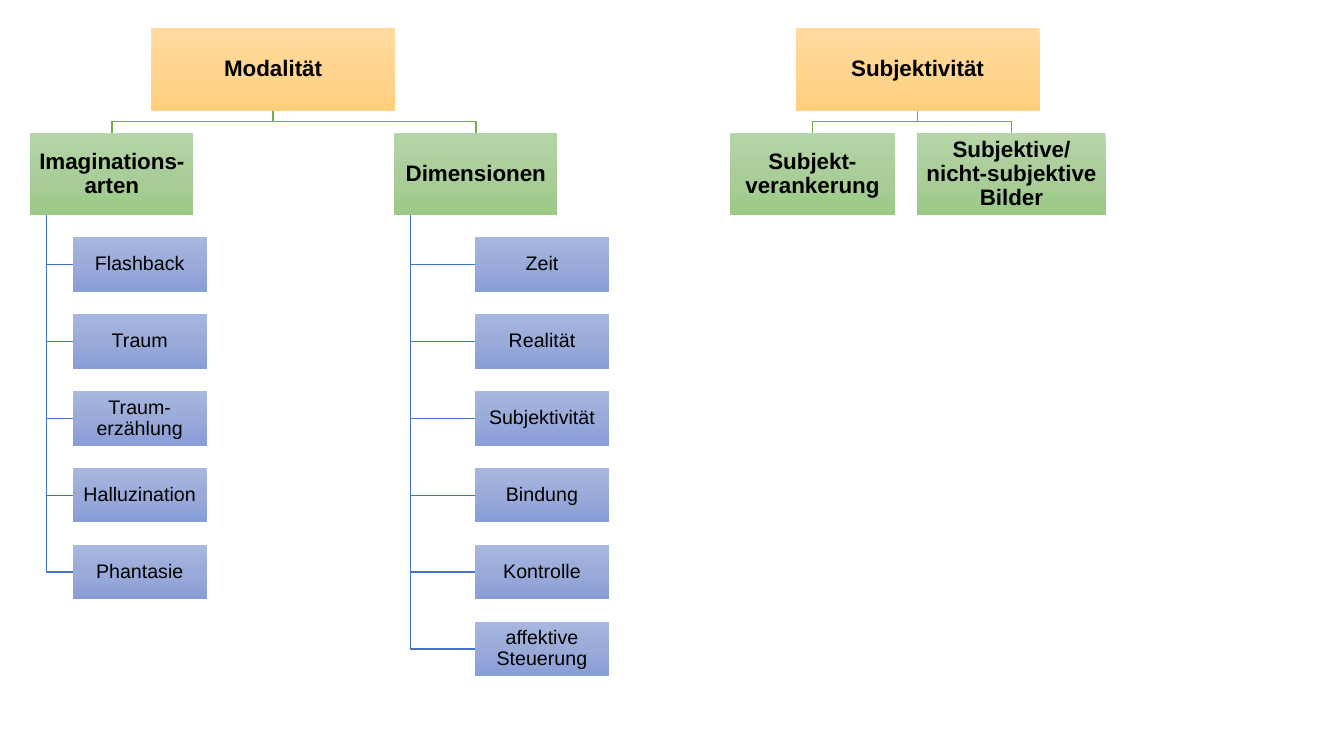
from pptx import Presentation
from pptx.dml.color import RGBColor
from pptx.enum.shapes import MSO_SHAPE
from pptx.enum.text import MSO_ANCHOR, PP_ALIGN
from pptx.oxml.ns import qn
from pptx.util import Inches, Pt
from copy import deepcopy
from itertools import pairwise

# Lengths are grid units: 100 columns across the slide, 100 rows down
GRID = 100
ROOT_TOP, ROOT_WIDTH, ROOT_HEIGHT = 3.73, 18.15, 10.9
BRANCH_TOP, BRANCH_HEIGHT = 17.6, 10.85
LEAF_TOP, LEAF_PITCH, LEAF_WIDTH, LEAF_HEIGHT = 31.4, 10.17, 10, 7.2
SPINE_SHARE = 0.1  # place of the vertical line within a branch box

COLORS = {
    "root": ("FFDB9E", "FFD590", "FFD07C"),
    "branch": ("B5D5A7", "AACE9A", "9CC987"),
    "leaf": ("A8B7DF", "9AABD9", "889ED7"),
    "branch line": "70AD47",
    "leaf line": "4472C4",
    "text": "000000",
}

# Root: (text, left, branches); branch: (text, left, width, leaf left, leaves)
TREES = [
    ("Modalität", 11.25, [
        ("Imaginations-arten", 2.25, 12.15, 5.4,
         ["Flashback", "Traum", "Traum-erzählung", "Halluzination", "Phantasie"]),
        ("Dimensionen", 29.33, 12.15, 35.33,
         ["Zeit", "Realität", "Subjektivität", "Bindung", "Kontrolle",
          "affektive Steuerung"]),
    ]),
    ("Subjektivität", 59.2, [
        ("Subjekt-verankerung", 54.3, 12.3, 0, []),
        ("Subjektive/\nnicht-subjektive Bilder", 68.25, 14.03, 0, []),
    ]),
]


class TreeSlide:
    def __init__(self, presentation, font="Arial"):
        self.font = font
        self.column = presentation.slide_width / GRID
        self.row = presentation.slide_height / GRID
        self.slide = presentation.slides.add_slide(presentation.slide_layouts[6])

    def point(self, column, row):
        return round(column * self.column), round(row * self.row)

    def elbow(self, points, color):
        (start, *others) = [self.point(*point) for point in points]
        builder = self.slide.shapes.build_freeform(*start, scale=1.0)
        builder.add_line_segments(others, close=False)
        shape = builder.convert_to_shape()
        shape.shadow.inherit = False
        shape.fill.background()
        shape.line.color.rgb = RGBColor.from_string(COLORS[color])
        shape.line.width = Pt(1)

    def gradient(self, shape, colors):
        shape.fill.gradient()
        shape.fill.gradient_angle = 270
        stop_list = shape._element.spPr.find(qn("a:gradFill")).find(qn("a:gsLst"))
        stop_list.insert(1, deepcopy(stop_list[0]))
        for index, (stop, color) in enumerate(zip(shape.fill.gradient_stops, colors)):
            stop.position = index / (len(colors) - 1)
            stop.color.rgb = RGBColor.from_string(color)

    def box(self, text, left, top, width, height, level):
        shape = self.slide.shapes.add_shape(
            MSO_SHAPE.RECTANGLE, *self.point(left, top), *self.point(width, height))
        shape.shadow.inherit = False
        shape.line.fill.background()
        self.gradient(shape, COLORS[level])
        frame = shape.text_frame
        frame.word_wrap = True
        frame.vertical_anchor = MSO_ANCHOR.MIDDLE
        frame.margin_left = frame.margin_right = Inches(0.01)
        frame.margin_top = frame.margin_bottom = Inches(0.01)
        paragraph = frame.paragraphs[0]
        paragraph.alignment = PP_ALIGN.CENTER
        paragraph.line_spacing = 0.9
        for index, line in enumerate(text.split("\n")):
            if index:
                paragraph.add_line_break()
            run = paragraph.add_run()
            run.text = line
            run.font.name = self.font
            run.font.size = Pt(14 if level == "leaf" else 16)
            run.font.bold = level != "leaf"
            run.font.color.rgb = RGBColor.from_string(COLORS["text"])

    def leaves(self, texts, left, spine):
        for index, text in enumerate(texts):
            top = LEAF_TOP + index * LEAF_PITCH
            middle = top + LEAF_HEIGHT / 2
            self.elbow([(spine, BRANCH_TOP + BRANCH_HEIGHT), (spine, middle),
                        (left, middle)], "leaf line")
            self.box(text, left, top, LEAF_WIDTH, LEAF_HEIGHT, "leaf")

    def tree(self, text, left, branches):
        root_center = left + ROOT_WIDTH / 2
        root_bottom = ROOT_TOP + ROOT_HEIGHT
        turn = (root_bottom + BRANCH_TOP) / 2
        self.box(text, left, ROOT_TOP, ROOT_WIDTH, ROOT_HEIGHT, "root")
        for label, branch_left, width, leaf_left, leaves in branches:
            center = branch_left + width / 2
            self.elbow([(root_center, root_bottom), (root_center, turn),
                        (center, turn), (center, BRANCH_TOP)], "branch line")
            self.box(label, branch_left, BRANCH_TOP, width, BRANCH_HEIGHT, "branch")
            self.leaves(leaves, leaf_left, branch_left + SPINE_SHARE * width)


presentation = Presentation()
presentation.slide_width = Inches(13.33)
presentation.slide_height = Inches(7.5)

# Both category trees
tree_slide = TreeSlide(presentation)
for tree in TREES:
    tree_slide.tree(*tree)

presentation.save("out.pptx")
